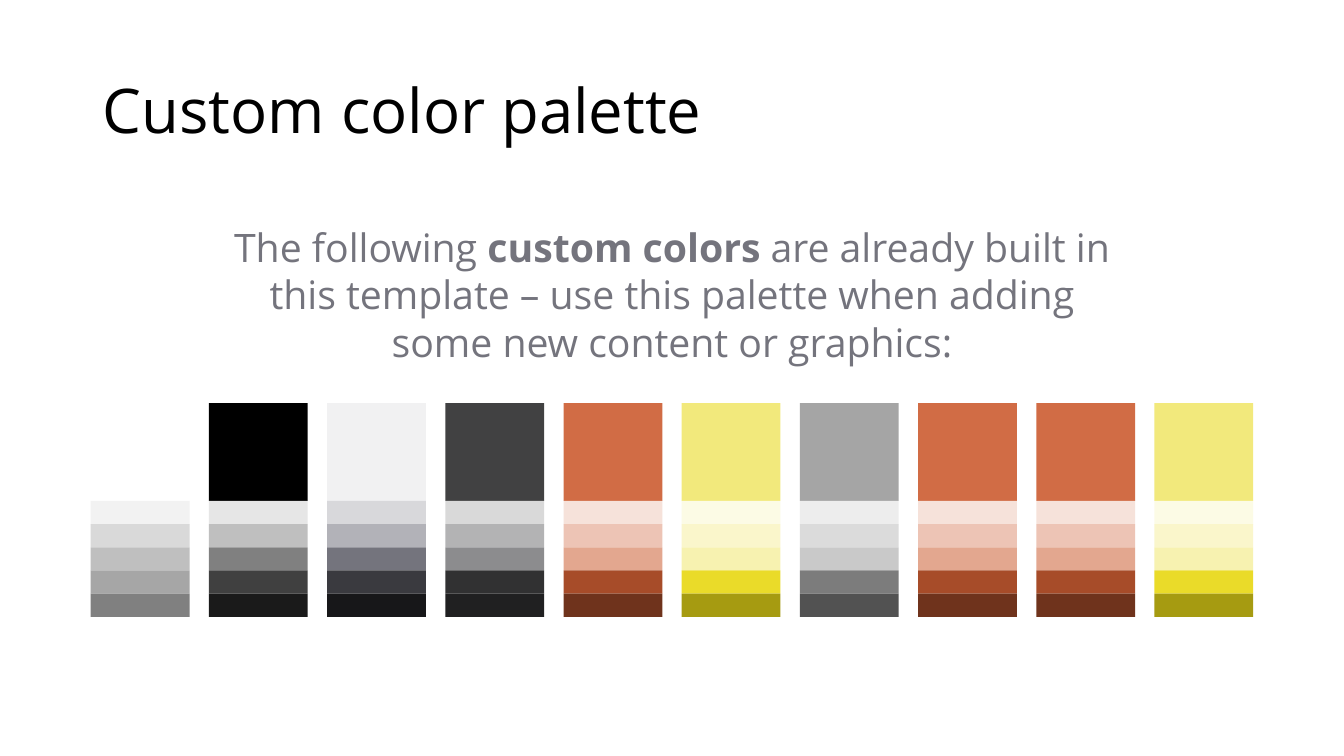
"""Build a slide that shows the custom color palette of a template."""
from pptx import Presentation
from pptx.dml.color import RGBColor
from pptx.enum.shapes import MSO_SHAPE
from pptx.enum.text import MSO_ANCHOR, MSO_AUTO_SIZE, PP_ALIGN
from pptx.util import Inches, Pt

RECT = MSO_SHAPE.RECTANGLE
MIDDLE = MSO_ANCHOR.MIDDLE
NO_FIT = MSO_AUTO_SIZE.NONE
LEFT, CENTER = PP_ALIGN.LEFT, PP_ALIGN.CENTER


def shades(codes):
    """Turn hex codes, main color first, into a list of colors."""
    return [RGBColor.from_string(code) for code in codes.split()]


FONT = "Open Sans"
BLACK = RGBColor(0x00, 0x00, 0x00)
SLATE = RGBColor(0x74, 0x74, 0x7D)
WHITES = shades("FFFFFF F2F2F2 D9D9D9 BFBFBF A6A6A6 808080")
BLACKS = shades("000000 E6E6E6 BFBFBF 808080 404040 1A1A1A")
SLATES = shades("F1F1F2 D8D8DB B2B2B8 74747D 3A3A3F 171719")
COALS = shades("414142 D9D9D9 B3B3B4 8C8C8E 313132 202021")
RUSTS = shades("D16C45 F6E2DA EDC4B5 E3A78F A74C29 6F331C")
YELLOWS = shades("F2E97C FCFBE5 FAF6CB F7F2B0 EADB29 A69B11")
GRAYS = shades("A5A5A5 EDEDED DBDBDB C9C9C9 7C7C7C 525252")

TITLE = "Custom color palette"
INTRO = [
    ("The following ", False),
    ("custom colors ", True),
    ("are already built in this template – use this palette "
     "when adding some new content or graphics:", False),
]
PALETTE = [WHITES, BLACKS, SLATES, COALS, RUSTS,
           YELLOWS, GRAYS, RUSTS, RUSTS, YELLOWS]

START, END, TOP = 0.9, 11.45, 4
WIDTH, MAIN, STRIP = 0.98, 0.97, 0.23
PITCH = (END - START) / (len(PALETTE) - 1)


def style(run, size, color, bold=False):
    """Set the font of a run."""
    run.font.name = FONT
    run.font.size = Pt(size)
    run.font.bold = bold
    run.font.color.rgb = color


def add_title(slide):
    """Place and format the title."""
    title = slide.shapes.title
    title.left, title.top = Inches(0.92), Inches(0.4)
    title.width, title.height = Inches(11.5), Inches(1.45)
    frame = title.text_frame
    frame.text = TITLE
    frame.auto_size = NO_FIT
    frame.vertical_anchor = MIDDLE
    para = frame.paragraphs[0]
    para.alignment = LEFT
    para.line_spacing = 0.9
    style(para.runs[0], 44, BLACK)


def add_intro(slide):
    """Add the centered text above the palette."""
    box = slide.shapes.add_textbox(
        Inches(2.07), Inches(2.17), Inches(9.19), Inches(1.51))
    box.text_frame.word_wrap = True
    para = box.text_frame.paragraphs[0]
    para.alignment = CENTER
    for text, bold in INTRO:
        run = para.add_run()
        run.text = text
        style(run, 28, SLATE, bold)


def add_swatch(slide, left, top, height, color):
    """Add one plain color block."""
    block = slide.shapes.add_shape(
        RECT, Inches(left), Inches(top), Inches(WIDTH), Inches(height))
    block.shadow.inherit = False
    block.fill.solid()
    block.fill.fore_color.rgb = color
    block.line.fill.background()


def add_palette(slide):
    """Add a column of one main block and its tints for each color."""
    for col, (main, *tints) in enumerate(PALETTE):
        left = START + col * PITCH
        add_swatch(slide, left, TOP, MAIN, main)
        for row, tint in enumerate(tints):
            add_swatch(slide, left, TOP + MAIN + row * STRIP, STRIP, tint)


def main():
    """Build and save the deck."""
    deck = Presentation()
    deck.slide_width, deck.slide_height = Inches(13.33), Inches(7.5)
    slide = deck.slides.add_slide(deck.slide_layouts.get_by_name("Title Only"))
    add_title(slide)
    add_palette(slide)
    add_intro(slide)
    deck.save("out.pptx")


if __name__ == "__main__":
    main()
